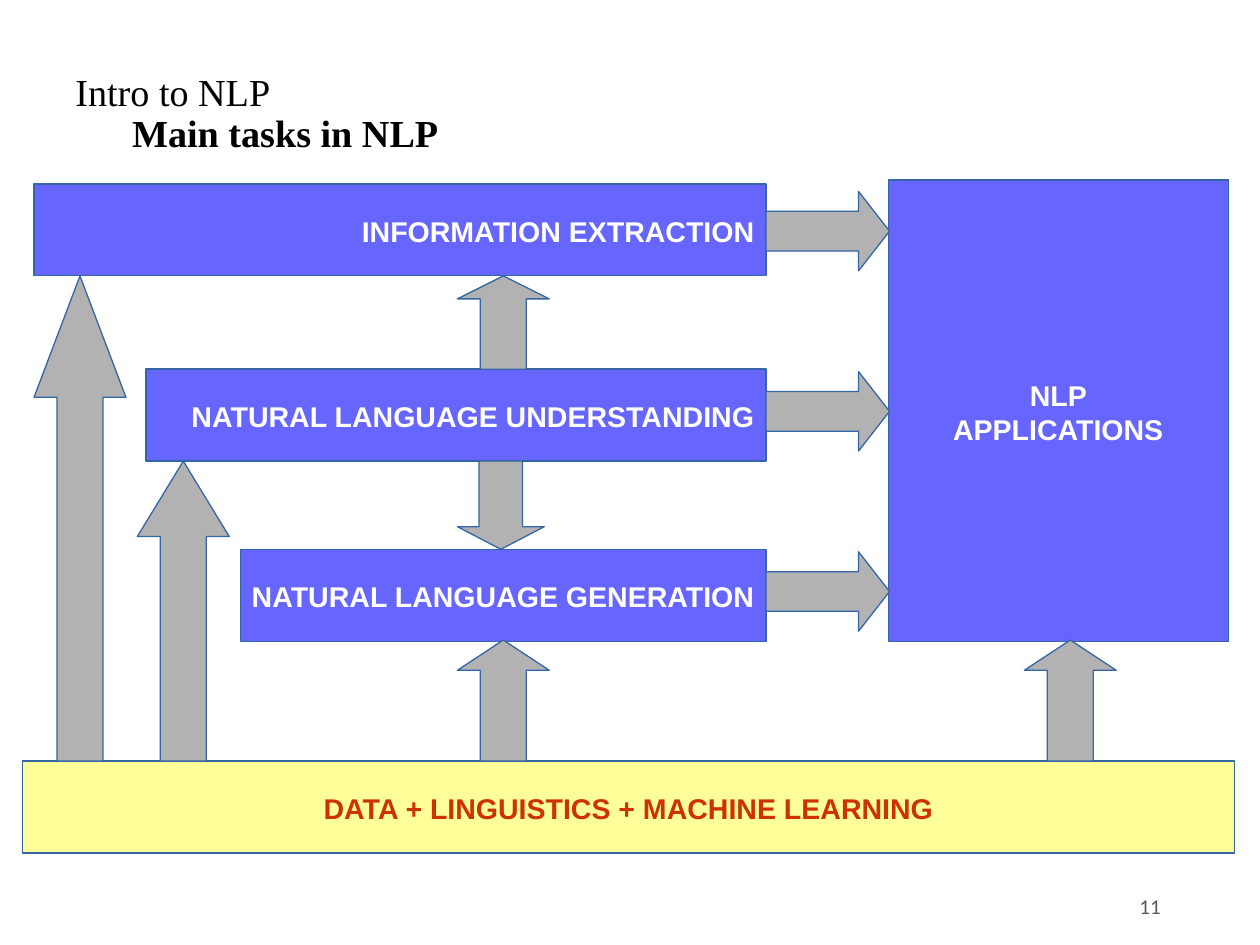
from lxml import etree
from pptx import Presentation
from pptx import util as u
from pptx.dml.color import RGBColor
from pptx.enum import shapes, text
from pptx.oxml.ns import qn

BLUE = RGBColor(0x66, 0x66, 0xFF)
EDGE = RGBColor(0x34, 0x65, 0xA4)
GREY = RGBColor(0xB2, 0xB2, 0xB2)
YELLOW = RGBColor(0xFF, 0xFF, 0x99)
RED = RGBColor(0xCC, 0x33, 0x00)
WHITE = RGBColor(0xFF, 0xFF, 0xFF)
BLACK = RGBColor(0, 0, 0)
DARK = RGBColor(0x59, 0x59, 0x59)

KIND = shapes.MSO_SHAPE
ALIGN = text.PP_ALIGN
BAR = 0.73  # height of a task bar and width of an upward arrow
EDGE_X = 6.08  # right edge of the task bars
BASE_Y = 6.04  # top of the foundation bar


def style(font, size, name, color, bold=False):
    for key, val in dict(size=u.Pt(size), name=name, bold=bold).items():
        setattr(font, key, val)
    font.color.rgb = color


def inset(frame, left, top, right, bottom):
    sides = dict(left=left, top=top, right=right, bottom=bottom)
    for side, gap in sides.items():
        setattr(frame, "margin_" + side, u.Inches(gap))
    frame.vertical_anchor = text.MSO_ANCHOR.MIDDLE


def add_shape(slide, kind, at, fill):
    shape = slide.shapes.add_shape(kind, *map(u.Inches, at))
    shape.shadow.inherit = False
    shape.fill.solid()
    shape.fill.fore_color.rgb = fill
    shape.line.color.rgb = EDGE
    shape.line.width = u.Pt(0.75)
    return shape


def add_box(slide, at, lines, align, fill=BLUE, color=WHITE):
    frame = add_shape(slide, KIND.RECTANGLE, at, fill).text_frame
    inset(frame, 0.09, 0.06, 0.09, 0.04)
    frame.word_wrap = False
    frame.text = lines
    for para in frame.paragraphs:
        para.alignment = align
        style(para.font, 16.3, "Arial", color, True)


def add_arrow(slide, kind, at, head):
    """Draw a block arrow whose head is a share of its narrow side."""
    arrow = add_shape(slide, kind, at, GREY)
    arrow.adjustments[0] = 0.5
    arrow.adjustments[1] = head


def add_text(slide, at):
    frame = slide.shapes.add_textbox(*map(u.Inches, at)).text_frame
    frame.word_wrap = True
    inset(frame, 0.1, 0.02, 0.1, 0.05)
    return frame.paragraphs[0]


def add_title(slide):
    para = add_text(slide, (0.5, 0.3, 9, 1.25))
    tabs = etree.SubElement(para._p.get_or_add_pPr(), qn("a:tabLst"))
    etree.SubElement(tabs, qn("a:tab"), pos=str(u.Inches(0.45)), algn="l")
    para.line_spacing = 0.9
    for line, bold in (("Intro to NLP", False), ("\tMain tasks in NLP", True)):
        if bold:
            para.add_line_break()
        run = para.add_run()
        run.text = line
        style(run.font, 21.8, "Times New Roman", BLACK, bold)


def add_number(slide):
    para = add_text(slide, (8.06, 7.01, 1.25, 0.4))
    para.text = "11"
    para.alignment = ALIGN.RIGHT
    style(para.font, 12, "Calibri", DARK)


def main():
    deck = Presentation()
    deck.slide_width, deck.slide_height = u.Inches(10), u.Inches(7.5)
    slide = deck.slides.add_slide(deck.slide_layouts[6])
    add_number(slide)
    add_title(slide)

    tasks = [
        (0.27, 1.46, "INFORMATION EXTRACTION"),
        (1.16, 2.93, "NATURAL LANGUAGE UNDERSTANDING"),
        (1.91, 4.36, "NATURAL LANGUAGE GENERATION"),
    ]
    for left, top, name in tasks:
        add_box(slide, (left, top, EDGE_X - left, BAR), name, ALIGN.RIGHT)
    add_box(slide, (0.18, BASE_Y, 9.62, BAR),
            "DATA + LINGUISTICS + MACHINE LEARNING", ALIGN.CENTER, YELLOW, RED)
    add_box(slide, (7.05, 1.43, 2.7, 3.66), "NLP\nAPPLICATIONS", ALIGN.CENTER)

    rises = [  # left, top, bottom, head
        (3.63, 5.08, BASE_Y, 0.33),
        (8.13, 5.08, BASE_Y, 0.33),
        (1.09, 3.66, BASE_Y, 0.82),
        (0.27, 2.19, BASE_Y, 1.32),
        (3.63, 2.19, 2.93, 0.25),
    ]
    for left, top, end, head in rises:
        add_arrow(slide, KIND.UP_ARROW, (left, top, BAR, end - top), head)
    for row in range(3):
        at = (EDGE_X, 1.52 + 1.43 * row, 0.98, 0.63)
        add_arrow(slide, KIND.RIGHT_ARROW, at, 0.39)
    add_arrow(slide, KIND.DOWN_ARROW, (3.63, 3.66, 0.69, 0.7), 0.26)

    deck.save("out.pptx")


if __name__ == "__main__":
    main()
